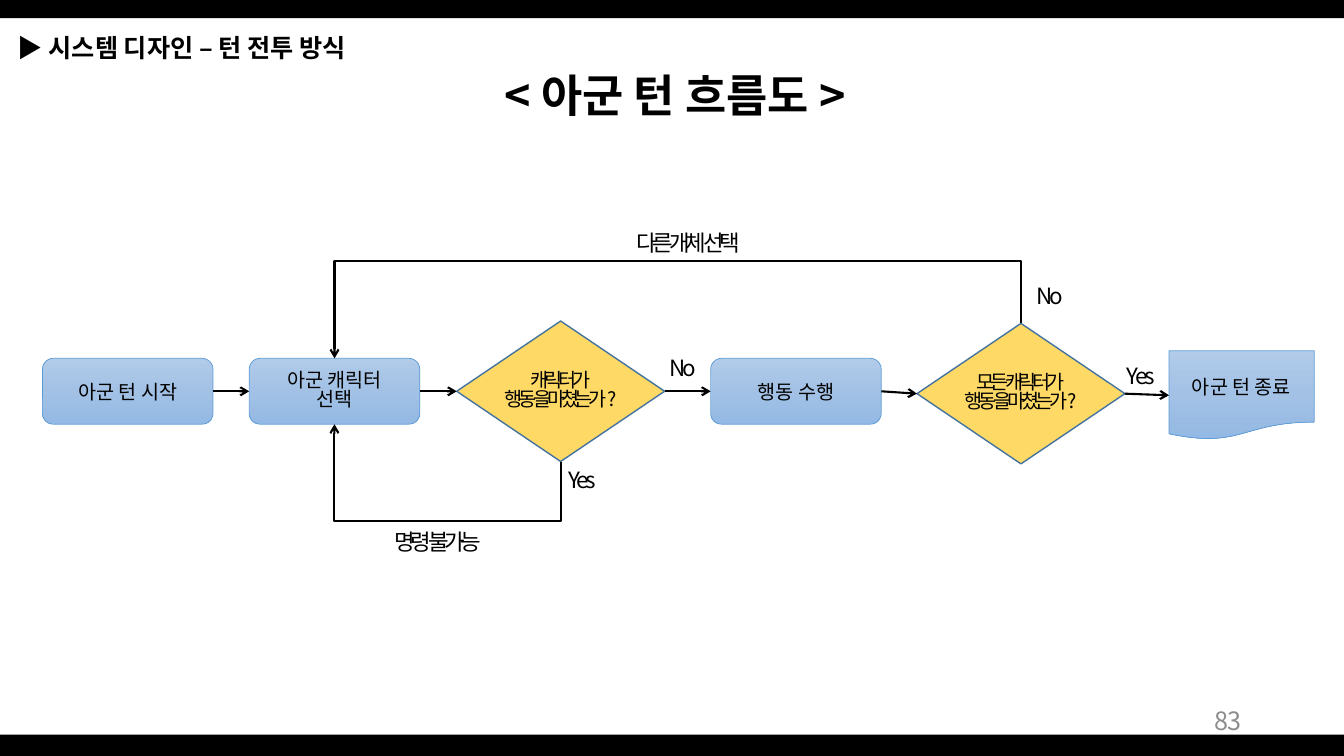
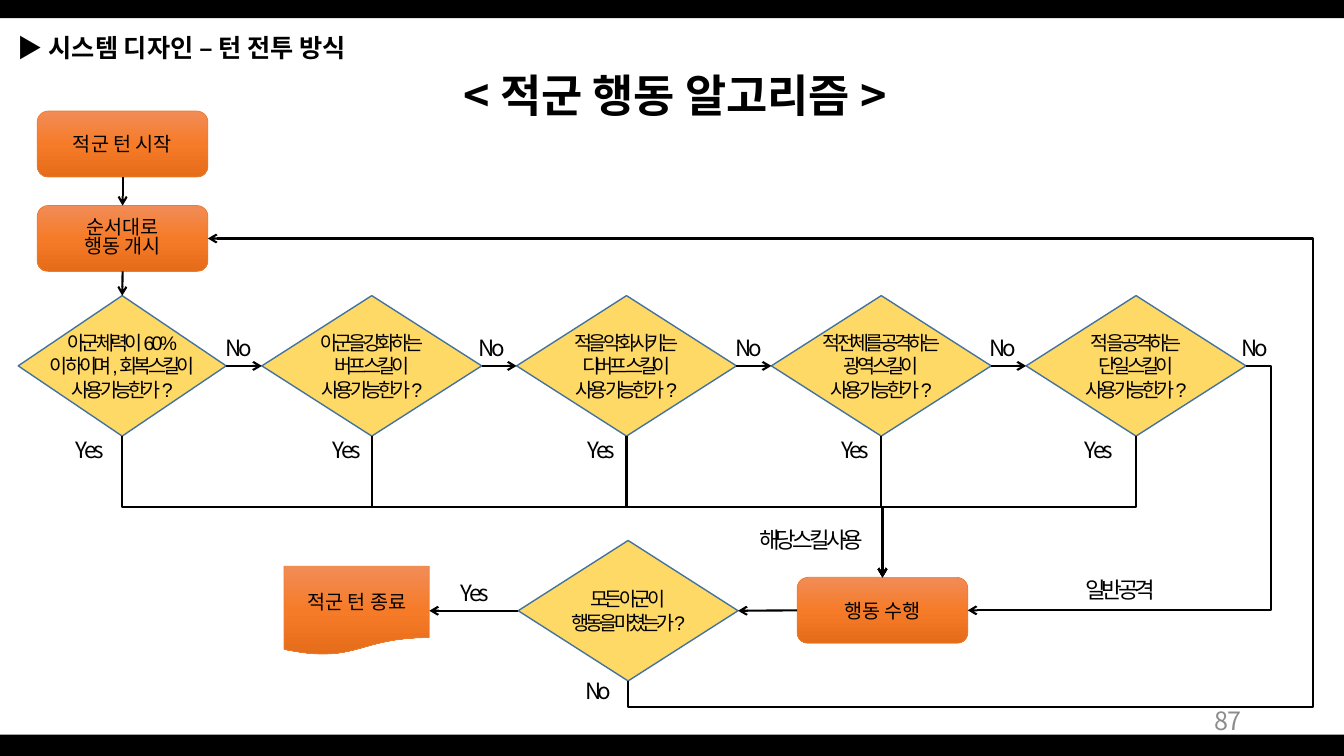
from lxml.etree import SubElement
from copy import deepcopy
from pptx import Presentation
from pptx.dml.color import RGBColor as RGB
from pptx.enum.shapes import MSO_CONNECTOR as CXN, MSO_SHAPE as SHAPE
from pptx.enum.text import MSO_ANCHOR, MSO_AUTO_SIZE, PP_ALIGN as ALIGN
from pptx.oxml.ns import qn
from pptx.util import Cm, Pt

COLORS = {"black": "000000", "white": "FFFFFF", "number": "8C8C8C",
          "decision": "FFD966", "decision_line": "43739E",
          "ally_line": "5B9BD5", "enemy_line": "ED7D31"}
GRADIENTS = {"ally": ("B1CBE9", "A3C1E5", "93B9E4"),
             "enemy": ("F18C57", "F67B28", "E56C19")}
KINDS = {"step": (SHAPE.ROUNDED_RECTANGLE, 4.3, 1.66),
         "end": (SHAPE.FLOWCHART_DOCUMENT, 3.66, 2.24),
         "ask": (SHAPE.DIAMOND, 5.24, 3.54),
         "wide_ask": (SHAPE.DIAMOND, 5.54, 3.54)}
SANS, ARIAL = "Noto Sans CJK KR", "Arial"
TOP, LEFT, BOTTOM, RIGHT = range(4)

skills = ["아군을 강화하는\n버프 스킬이\n사용 가능한가 ?",
          "적을 약 화시키는\n디버프 스킬이\n사용 가능한가 ?",
          "적 전체를 공격하는\n광역 스킬이\n사용 가능한가 ?",
          "적 을 공격하는\n단일 스킬이\n사용 가능한가 ?"]
checks = ["heal", "buff", "debuff", "area", "single"]
yes_lefts = [1.32, 7.8, 14.22, 20.62, 26.75]
no_lefts = [5.08, 11.46, 17.93, 24.33, 30.68]

pages = [
    {"title": "< 아군 턴 흐름도 >", "number": "83", "side": "ally", "ask_font": SANS,
     "nodes": {
         "start": ("step", 1.07, 9.03, "아군 턴 시작"),
         "select": ("step", 6.28, 9.03, "아군 캐릭터\n선택"),
         "acted": ("ask", 11.51, 8.09, "캐릭터가\n행 동 을 마쳤는가 ?"),
         "perform": ("step", 17.91, 9.03, "행동 수행"),
         "all_acted": ("ask", 23.11, 8.15, "모 든 캐릭터 가\n행 동 을 마 쳤 는 가 ?"),
         "end": ("end", 29.46, 8.84, "아군 턴 종료")},
     "links": [("start", RIGHT, "select", LEFT), ("select", RIGHT, "acted", LEFT),
               ("acted", RIGHT, "perform", LEFT), ("perform", RIGHT, "all_acted", LEFT),
               ("all_acted", RIGHT, "end", LEFT)],
     "bends": [("acted", BOTTOM, "select", BOTTOM, {"y": 13.13}),
               ("all_acted", TOP, "select", TOP, {"y": 6.58})],
     "labels": [("Y e s", 13.74, 11.61, 1.88), ("N o", 16.26, 8.79, 1.88),
                ("명령 불가능", 9.45, 13.18, 3.18), ("Y e s", 27.81, 8.99, 1.88),
                ("N o", 25.68, 6.99, 1.57), ("다른 개체 선택", 15.27, 5.64, 4.14)]},
    {"title": "< 적군 행동 알고리즘 >", "number": "87", "side": "enemy", "ask_font": ARIAL,
     "nodes": {
         "start": ("step", 0.94, 2.8, "적군 턴 시작"),
         "order": ("step", 0.94, 5.18, "순서대로\n행동 개시"),
         "heal": ("ask", 0.46, 7.45,
                  "아군 체력이 6 0 %\n이 하이며 , 회복 스킬이\n사용 가능한가 ?"),
         **{name: ("wide_ask", 6.6 + 6.42 * i, 7.45, text)
            for i, (name, text) in enumerate(zip(checks[1:], skills))},
         "perform": ("step", 20.09, 14.55, "행동 수행"),
         "all_acted": ("wide_ask", 13.06, 13.62, "모든 아군이\n행동을 마쳤는가?"),
         "end": ("end", 7.16, 14.27, "적군 턴 종료")},
     "links": [("start", BOTTOM, "order", TOP), ("order", BOTTOM, "heal", TOP),
               *[(a, RIGHT, b, LEFT) for a, b in zip(checks, checks[1:])],
               ("perform", LEFT, "all_acted", RIGHT), ("all_acted", LEFT, "end", RIGHT)],
     "bends": [*[(name, BOTTOM, "perform", TOP, {"y": 12.78}) for name in checks],
               ("single", RIGHT, "perform", RIGHT, {"x": 32.03}),
               ("all_acted", BOTTOM, "order", RIGHT, {"y": 17.81, "x": 33.1})],
     "labels": [*[("Y e s", x, 10.87, 1.88) for x in yes_lefts],
                *[("N o", x, 8.3, 1.88) for x in no_lefts],
                ("해당 스킬 사용", 18.47, 13.13, 3.96), ("일반 공격", 26.7, 14.38, 3.07),
                ("N o", 14.38, 16.92, 1.4), ("Y e s", 11.02, 14.45, 1.88)]},
]


def write(sp, text, size=14, color="black", font=SANS, bold=False,
          align=ALIGN.CENTER, spacing=0, wrap=True):
    tf = sp.text_frame
    tf.text = text
    tf.word_wrap = wrap
    tf.auto_size = MSO_AUTO_SIZE.NONE
    tf.vertical_anchor = MSO_ANCHOR.MIDDLE
    for p in tf.paragraphs:
        p.alignment = align
        if font == SANS and len(tf.paragraphs) > 1:
            p.line_spacing = 0.81
        for r in p.runs:
            r.font.size = Pt(size)
            r.font.bold = bold
            r.font.color.rgb = RGB.from_string(COLORS[color])
            r.font.name = font
            rpr = r.font._element
            SubElement(rpr, qn("a:ea")).set("typeface", font)
            rpr.set("spc", str(spacing * 100))


def connect(s, kind, start, start_site, end, end_site):
    c = s.shapes.add_connector(kind, 0, 0, 0, 0)
    c.begin_connect(start, start_site)
    c.end_connect(end, end_site)
    c.line.width = Pt(1.5)
    c.line.color.rgb = RGB.from_string(COLORS["black"])
    SubElement(c.line._get_or_add_ln(), qn("a:tailEnd")).set("type", "arrow")
    SubElement(c.element.spPr, qn("a:effectLst"))
    return c


prs = Presentation()
prs.slide_width, prs.slide_height = Cm(33.87), Cm(19.05)

for page in pages:
    s = prs.slides.add_slide(prs.slide_layouts[5])
    s.background.fill.solid()
    s.background.fill.fore_color.rgb = RGB.from_string(COLORS["white"])

    for top, height in [(0, 0.46), (18.51, 0.54)]:
        band = s.shapes.add_shape(SHAPE.RECTANGLE, 0, Cm(top), prs.slide_width, Cm(height))
        band.shadow.inherit = False
        band.fill.solid()
        band.fill.fore_color.rgb = RGB.from_string(COLORS["black"])
        band.line.fill.background()

    title = s.shapes.title
    title.left, title.top, title.width, title.height = Cm(8.36), Cm(1.57), Cm(17.32), Cm(1.63)
    write(title, page["title"], size=32, bold=True)
    header = s.shapes.add_textbox(Cm(0.2), Cm(0.69), Cm(10.59), Cm(1.02))
    write(header, "▶ 시스템 디자인 – 턴 전투 방식", size=18, bold=True, align=ALIGN.LEFT)
    number = s.shapes.add_textbox(Cm(23.93), Cm(17.65), Cm(7.62), Cm(1.02))
    write(number, page["number"], size=18, color="number", align=ALIGN.RIGHT)

    nodes = {}
    for name, (kind, x, y, text) in page["nodes"].items():
        shape, w, h = KINDS[kind]
        sp = nodes[name] = s.shapes.add_shape(shape, Cm(x), Cm(y), Cm(w), Cm(h))
        sp.shadow.inherit = False
        if shape == SHAPE.DIAMOND:
            sp.fill.solid()
            sp.fill.fore_color.rgb = RGB.from_string(COLORS["decision"])
            sp.line.color.rgb = RGB.from_string(COLORS["decision_line"])
            sp.line.width = Pt(1)
            write(sp, text, font=page["ask_font"], spacing=-3, wrap=False)
        else:
            sp.fill.gradient()
            sp.fill.gradient_angle = 270
            stops = sp.element.spPr.find(qn("a:gradFill")).find(qn("a:gsLst"))
            stops.insert(1, deepcopy(stops[0]))
            for i, (stop, color) in enumerate(zip(sp.fill.gradient_stops,
                                                  GRADIENTS[page["side"]])):
                stop.position = i / 2
                stop.color.rgb = RGB.from_string(color)
            sp.line.color.rgb = RGB.from_string(COLORS[page["side"] + "_line"])
            sp.line.width = Pt(0.5)
            write(sp, text)

    for a, a_site, b, b_site in page["links"]:
        connect(s, CXN.STRAIGHT, nodes[a], a_site, nodes[b], b_site)

    for a, a_site, b, b_site, via in page["bends"]:
        c = connect(s, CXN.ELBOW, nodes[a], a_site, nodes[b], b_site)
        x1, y1, x2, y2 = c.begin_x, c.begin_y, c.end_x, c.end_y
        dx, dy = x2 - x1, y2 - y1
        ratios = [(Cm(v) - y1) / dy if axis == "y" else (Cm(v) - x1) / dx
                  for axis, v in via.items()]
        if "y" in via:
            c.width, c.height = abs(dy), abs(dx)
            c.left = (x1 + x2 - abs(dy)) // 2
            c.top = (y1 + y2 - abs(dx)) // 2
            xfrm = c.element.spPr.find(qn("a:xfrm"))
            xfrm.set("rot", str((90 if dx < 0 else 270) * 60000))
            xfrm.set("flipH", str(int((dx < 0) == (dy < 0))))
            xfrm.set("flipV", "0")
        geom = c.element.spPr.find(qn("a:prstGeom"))
        geom.set("prst", f"bentConnector{len(ratios) + 2}")
        guides = geom.find(qn("a:avLst"))
        for i, ratio in enumerate(ratios, 1):
            gd = SubElement(guides, qn("a:gd"))
            gd.set("name", f"adj{i}")
            gd.set("fmla", f"val {round(ratio * 100000)}")

    for text, x, y, w in page["labels"]:
        label = s.shapes.add_textbox(Cm(x), Cm(y), Cm(w), Cm(0.94))
        write(label, text, size=16, spacing=-3)

prs.save("out.pptx")
